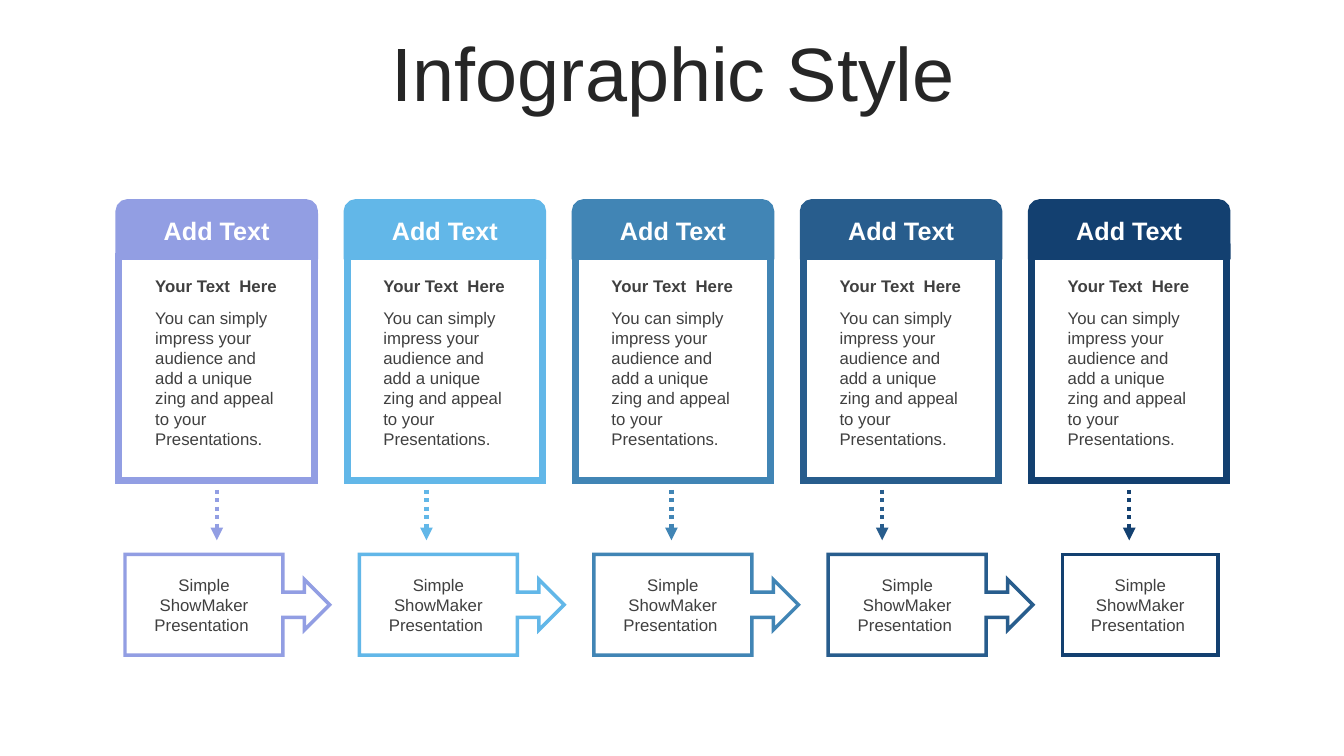
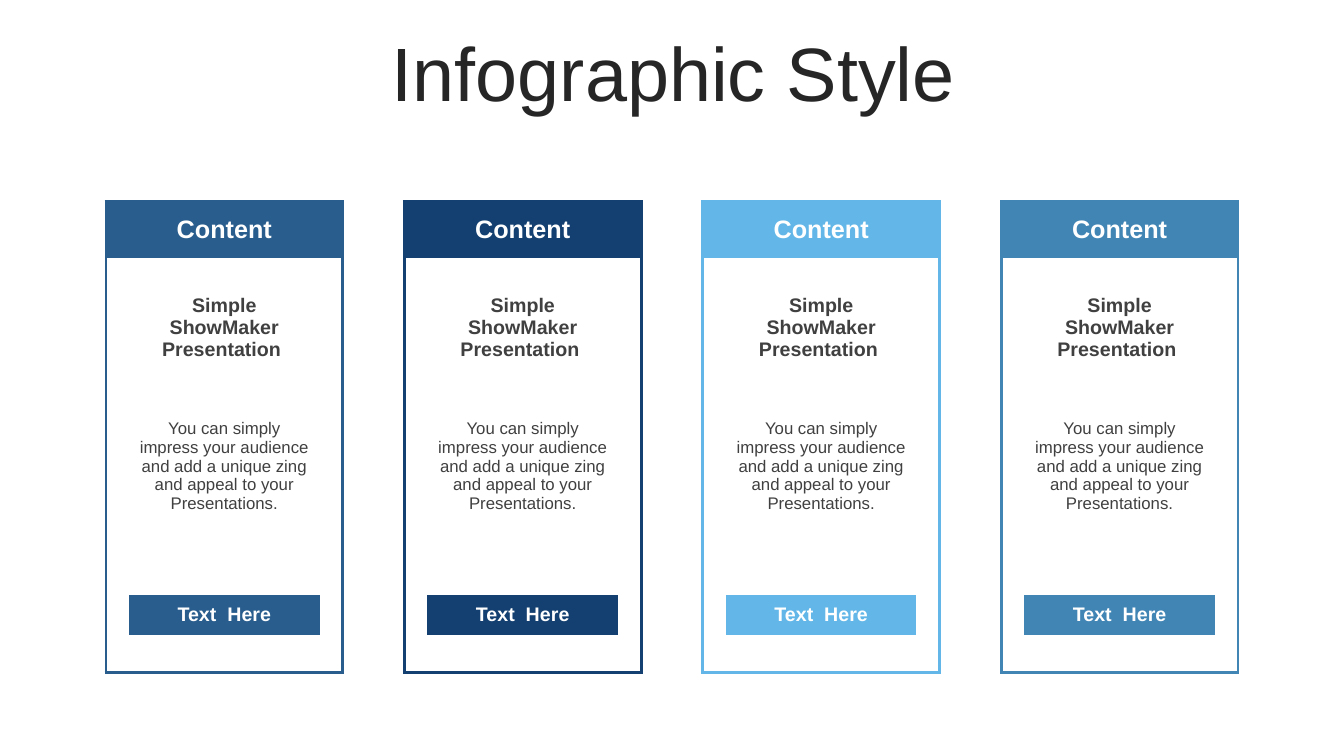
from lxml.etree import SubElement
from pptx import Presentation
from pptx.dml.color import RGBColor
from pptx.enum.dml import MSO_LINE
from pptx.enum.shapes import MSO_CONNECTOR, MSO_SHAPE
from pptx.enum.text import MSO_ANCHOR, MSO_AUTO_SIZE, PP_ALIGN
from pptx.oxml.ns import qn
from pptx.util import Inches, Pt

COLORS = {
    "lavender": "929EE3",
    "sky": "62B7E8",
    "steel": "4185B5",
    "ocean": "285D8D",
    "navy": "134070",
    "white": "FFFFFF",
    "title": "262626",
    "text": "404040",
}
FONT = "Arial"
PLAIN_TABLE_STYLE = "{2D5ABB26-0587-4C30-8999-92F81FD0307C}"

TITLE = "Infographic Style"
PITCH = ("You can simply impress your audience and add a unique zing "
         "and appeal to your Presentations.")
PRODUCT = "Simple ShowMaker Presentation "

CARD_COLORS = ["lavender", "sky", "steel", "ocean", "navy"]
ARROW_CENTERS = [2.15, 4.23, 6.66, 8.75, 11.2]
TABLE_COLORS = ["ocean", "navy", "sky", "steel"]
COLUMN_WIDTHS = [0.23, 1.89, 0.23]
ROW_HEIGHTS = [0.56, 1.16, 0.84, 0.97, 0.37, 0.4, 0.37]


def rgb(name):
    return RGBColor.from_string(COLORS[name])


def spread(first, last, count):
    """Return evenly spaced positions from first to last."""
    return [first + (last - first) * index / (count - 1) for index in range(count)]


def write(para, text, size=12, color="text", bold=False,
          align=PP_ALIGN.CENTER, spacing=None, before=0):
    para.alignment = align
    para.space_before = Pt(before)
    if spacing:
        para.line_spacing = spacing
    span = para.add_run()
    span.text = text
    span.font.name = FONT
    span.font.size = Pt(size)
    span.font.bold = bold
    span.font.color.rgb = rgb(color)


def set_margins(frame, side, top, bottom):
    frame.margin_left = frame.margin_right = Inches(side)
    frame.margin_top = Inches(top)
    frame.margin_bottom = Inches(bottom)


def add_box(page, preset, left, top, width, height, fill, line, weight):
    box = page.shapes.add_shape(
        preset, Inches(left), Inches(top), Inches(width), Inches(height))
    box.shadow.inherit = False
    box.fill.solid()
    box.fill.fore_color.rgb = rgb(fill)
    box.line.color.rgb = rgb(line)
    box.line.width = Pt(weight)
    SubElement(box.line._get_or_add_ln(), qn("a:miter"), lim="800000")
    box.text_frame.word_wrap = True
    return box


def add_page(deck):
    page = deck.slides.add_slide(deck.slide_layouts[5])
    title = page.shapes.title
    title.left, title.top = Inches(0.35), Inches(0.37)
    title.width, title.height = Inches(12.66), Inches(0.79)
    frame = title.text_frame
    frame.auto_size = MSO_AUTO_SIZE.NONE
    frame.vertical_anchor = MSO_ANCHOR.MIDDLE
    write(frame.paragraphs[0], TITLE, size=54, color="title", spacing=0.9)
    return page


def add_card(page, left, top, color):
    width, header_height, body_height = 1.94, 0.53, 2.23
    body = add_box(page, MSO_SHAPE.RECTANGLE, left, top + header_height,
                   width, body_height, "white", color, 5)
    frame = body.text_frame
    frame.vertical_anchor = MSO_ANCHOR.TOP
    set_margins(frame, 0.36, 0.2, 0.05)
    write(frame.paragraphs[0], "Your Text  Here", bold=True,
          align=PP_ALIGN.LEFT, spacing=Pt(14.4))
    write(frame.add_paragraph(), PITCH, align=PP_ALIGN.LEFT,
          spacing=Pt(14.4), before=8)

    header = add_box(page, MSO_SHAPE.ROUND_2_SAME_RECTANGLE, left, top,
                     width, header_height, color, color, 5)
    write(header.text_frame.paragraphs[0], "Add Text", size=18,
          color="white", bold=True, spacing=Pt(21.6))


def add_step(page, left, top, color, is_last):
    if is_last:
        step = add_box(page, MSO_SHAPE.RECTANGLE, left, top, 1.54, 1,
                       "white", color, 2.5)
    else:
        step = add_box(page, MSO_SHAPE.RIGHT_ARROW_CALLOUT, left, top, 2.03, 1,
                       "white", color, 2.5)
        for index, value in enumerate([0.25, 0.25, 0.25, 0.772]):
            step.adjustments[index] = value
    set_margins(step.text_frame, 0.25, 0.05, 0.05)
    step.text_frame.vertical_anchor = MSO_ANCHOR.MIDDLE
    write(step.text_frame.paragraphs[0], PRODUCT, spacing=Pt(14.4))


def add_down_arrow(page, center, top, color):
    arrow = page.shapes.add_connector(
        MSO_CONNECTOR.STRAIGHT, Inches(center), Inches(top),
        Inches(center), Inches(top + 0.5))
    arrow.line.color.rgb = rgb(color)
    arrow.line.width = Pt(3)
    arrow.line.dash_style = MSO_LINE.ROUND_DOT
    SubElement(arrow.line._get_or_add_ln(), qn("a:tailEnd"), type="triangle")
    SubElement(arrow._element.spPr, qn("a:effectLst"))


def add_border(cell, side, color):
    line = SubElement(cell._tc.get_or_add_tcPr(), qn(f"a:ln{side}"),
                      w=str(Pt(2.25)))
    fill = SubElement(line, qn("a:solidFill"))
    SubElement(fill, qn("a:srgbClr"), val=COLORS[color])


def style_cell(cell, row, column, color):
    """Fill the cell and draw its share of the table outline."""
    last_row, last_column = len(ROW_HEIGHTS) - 1, len(COLUMN_WIDTHS) - 1
    edges = {"L": column == 0, "R": column == last_column,
             "T": row == 0, "B": row == last_row}
    for side, is_outer in edges.items():
        if is_outer:
            add_border(cell, side, color)
    is_colored = row == 0 or (row, column) == (5, 1)
    cell.fill.solid()
    cell.fill.fore_color.rgb = rgb(color if is_colored else "white")
    cell.vertical_anchor = MSO_ANCHOR.MIDDLE


def add_panel(page, left, top, color):
    panel = page.shapes.add_table(
        len(ROW_HEIGHTS), len(COLUMN_WIDTHS), Inches(left), Inches(top),
        Inches(sum(COLUMN_WIDTHS)), Inches(sum(ROW_HEIGHTS)))
    table = panel.table
    table.first_row = table.horz_banding = False
    table._tbl.tblPr.find(qn("a:tableStyleId")).text = PLAIN_TABLE_STYLE
    for column, width in zip(table.columns, COLUMN_WIDTHS):
        column.width = Inches(width)
    for row, height in zip(table.rows, ROW_HEIGHTS):
        row.height = Inches(height)

    contents = {
        0: ("Content", dict(size=18, color="white", bold=True)),
        1: (PRODUCT, dict(size=14, bold=True)),
        2: (PITCH, dict(size=12)),
        5: ("Text  Here", dict(size=14, color="white", bold=True)),
    }
    for row in range(len(ROW_HEIGHTS)):
        for column in range(len(COLUMN_WIDTHS)):
            cell = table.cell(row, column)
            style_cell(cell, row, column, color)
            if column == 1 and row in contents:
                text, style = contents[row]
                write(cell.text_frame.paragraphs[0], text, **style)
            else:
                set_margins(cell, 0, 0, 0)
    table.cell(1, 1).margin_top = Inches(0.27)
    table.cell(2, 1).merge(table.cell(3, 1))


def build_process_page(deck):
    page = add_page(deck)
    count = len(CARD_COLORS)
    columns = zip(CARD_COLORS, spread(1.18, 10.23, count),
                  spread(1.24, 10.54, count), ARROW_CENTERS)
    for index, (color, card_left, step_left, center) in enumerate(columns):
        add_card(page, card_left, 2.01, color)
        add_down_arrow(page, center, 4.86, color)
        add_step(page, step_left, 5.5, color, is_last=index == count - 1)


def build_panel_page(deck):
    page = add_page(deck)
    lefts = spread(1.05, 9.93, len(TABLE_COLORS))
    for left, color in zip(lefts, TABLE_COLORS):
        add_panel(page, left, 2, color)


def main():
    deck = Presentation()
    deck.slide_width, deck.slide_height = Inches(13.33), Inches(7.5)
    build_process_page(deck)
    build_panel_page(deck)
    deck.save("out.pptx")


if __name__ == "__main__":
    main()
